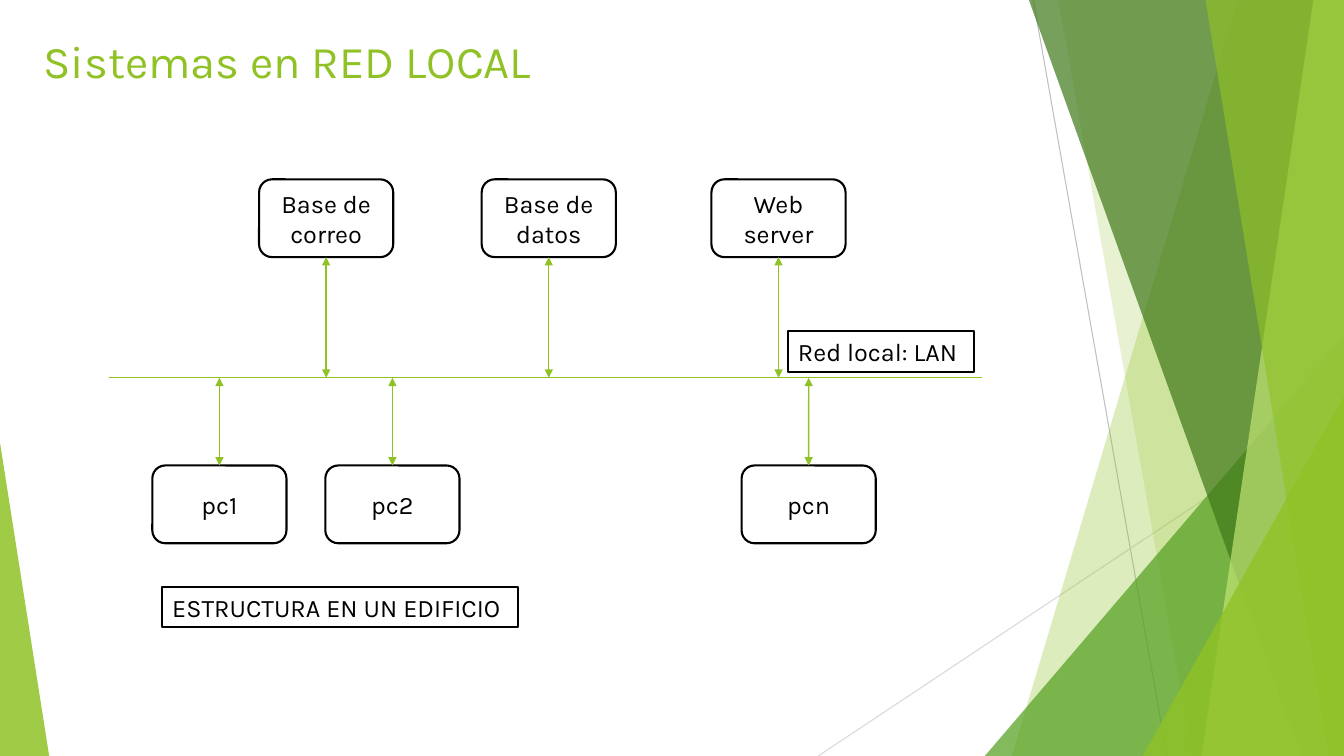
from lxml import etree
from pptx import Presentation
from pptx.dml.color import RGBColor
from pptx.enum.shapes import MSO_CONNECTOR, MSO_SHAPE
from pptx.enum.text import MSO_ANCHOR, MSO_AUTO_SIZE, PP_ALIGN
from pptx.oxml.ns import qn
from pptx.util import Cm, Pt

STRAIGHT = MSO_CONNECTOR.STRAIGHT
ROUNDED, RECT = MSO_SHAPE.ROUNDED_RECTANGLE, MSO_SHAPE.RECTANGLE
TRIANGLE = MSO_SHAPE.ISOSCELES_TRIANGLE
LEFT, CENTER = PP_ALIGN.LEFT, PP_ALIGN.CENTER
MIDDLE, NO_FIT = MSO_ANCHOR.MIDDLE, MSO_AUTO_SIZE.NONE
TOP_SITE, BOTTOM_SITE = 0, 2

GREEN, BLACK, WHITE = "90C226", "000000", "FFFFFF"
SLIDE_W, SLIDE_H = 33.87, 19.05
BOX_W, BOX_H = 3.38, 1.96

# Right-hand decoration, back to front
# band: x at the top, x at the bottom; wedge: left, top, right, apex
DECORATION = [
    ("band", (31.19, 25.5), GREEN, 30),
    ("band", (26.67, 30.05), GREEN, 20),
    ("wedge", (24.82, 8.46, SLIDE_W, 1), "54A021", 72),
    ("band", (25.93, 32.79), "3F7819", 70),
    ("band", (33.1, 30.28), "C0E474", 70),
    ("band", (30.38, 33.48), GREEN, 65),
    ("wedge", (28.8, 9.98, SLIDE_W, 1), GREEN, 80),
    ("wedge", (0, 11.15, 1.24, 0), GREEN, 85),
]
# Left edge of each box within the network diagram
SERVERS = [("Base de correo", 3.79), ("Base de datos", 9.4), ("Web server", 15.19)]
COMPUTERS = [("pc1", 1.1), ("pc2", 5.46), ("pcn", 15.95)]


def color(hex_value):
    return RGBColor.from_string(hex_value)


def set_text(s, text, size, hex_color, align):
    tf = s.text_frame
    for name, value in {"word_wrap": True, "auto_size": NO_FIT,
                        "vertical_anchor": MIDDLE}.items():
        setattr(tf, name, value)
    p = tf.paragraphs[0]
    p.alignment = align
    r = p.add_run()
    r.text = text
    for name, value in {"name": "Karla", "size": Pt(size), "bold": False}.items():
        setattr(r.font, name, value)
    r.font.color.rgb = color(hex_color)


def add_line(slide, x1, y1, x2, y2, hex_color, width, arrows=False):
    s = slide.shapes.add_connector(STRAIGHT, Cm(x1), Cm(y1), Cm(x2), Cm(y2))
    s.line.color.rgb = color(hex_color)
    s.line.width = Pt(width)
    if arrows:
        ln = s.line._get_or_add_ln()
        for tag in ("a:headEnd", "a:tailEnd"):
            etree.SubElement(ln, qn(tag), type="triangle")
    etree.SubElement(s._element.spPr, qn("a:effectLst"))
    return s


def add_box(slide, preset, x, y, w, h, text, align):
    s = slide.shapes.add_shape(preset, Cm(x), Cm(y), Cm(w), Cm(h))
    s.shadow.inherit = False
    s.fill.solid()
    s.fill.fore_color.rgb = color(WHITE)
    s.line.color.rgb = color(BLACK)
    s.line.width = Pt(1.5)
    set_text(s, text, 18, BLACK, align)
    return s


def add_band(slide, top_x, bottom_x):
    corners = [(SLIDE_W, 0), (SLIDE_W, SLIDE_H), (bottom_x, SLIDE_H)]
    builder = slide.shapes.build_freeform(Cm(top_x), Cm(0))
    builder.add_line_segments([(Cm(x), Cm(y)) for x, y in corners], close=True)
    return builder.convert_to_shape()


def add_wedge(slide, left, top, right, apex):
    s = slide.shapes.add_shape(TRIANGLE, Cm(left), Cm(top),
                               Cm(right - left), Cm(SLIDE_H - top))
    s.adjustments[0] = apex
    return s


def add_decoration(slide):
    add_line(slide, 26.04, 0, 29.41, SLIDE_H, "BFBFBF", 0.75)
    add_line(slide, SLIDE_W, 10.24, 20.62, SLIDE_H, "D9D9D9", 0.75)
    makers = {"band": add_band, "wedge": add_wedge}
    for kind, geometry, hex_color, opacity in DECORATION:
        s = makers[kind](slide, *geometry)
        s.shadow.inherit = False
        s.line.fill.background()
        s.fill.solid()
        s.fill.fore_color.rgb = color(hex_color)
        clr = s._element.spPr.find(qn("a:solidFill")).find(qn("a:srgbClr"))
        etree.SubElement(clr, qn("a:alpha"), val=str(opacity * 1000))


def add_title(slide, x, y, w, h):
    s = slide.shapes.title
    for name, value in {"left": x, "top": y, "width": w, "height": h}.items():
        setattr(s, name, Cm(value))
    set_text(s, "Sistemas en RED LOCAL", 32.4, GREEN, LEFT)


def add_network(slide, x, y, w, h):
    bus_y = y + 5
    computers_y = y + h - BOX_H
    add_line(slide, x, bus_y, x + w, bus_y, GREEN, 1)
    # Servers above the bus, computers below it
    for row, row_y, edge_y, site in (
            (SERVERS, y, y + BOX_H, BOTTOM_SITE),
            (COMPUTERS, computers_y, computers_y, TOP_SITE)):
        for text, offset in row:
            s = add_box(slide, ROUNDED, x + offset, row_y, BOX_W, BOX_H,
                        text, CENTER)
            mid = x + offset + BOX_W / 2
            link = add_line(slide, mid, edge_y, mid, bus_y, GREEN, 1, arrows=True)
            link.begin_connect(s, site)
    # Captions
    add_box(slide, RECT, x + 17.12, bus_y - 1.17, 4.68, 1.02,
            "Red local: LAN", LEFT)
    add_box(slide, RECT, x + 1.35, y + h + 1.1, 8.97, 1.02,
            "ESTRUCTURA EN UN EDIFICIO", LEFT)


def main():
    prs = Presentation()
    prs.slide_width, prs.slide_height = Cm(SLIDE_W), Cm(SLIDE_H)
    slide = prs.slides.add_slide(prs.slide_layouts[5])
    add_decoration(slide)
    add_title(slide, 0.84, 0.71, 23.57, 1.6)
    add_network(slide, 2.74, 4.52, 22, 9.17)
    prs.save("out.pptx")


if __name__ == "__main__":
    main()
